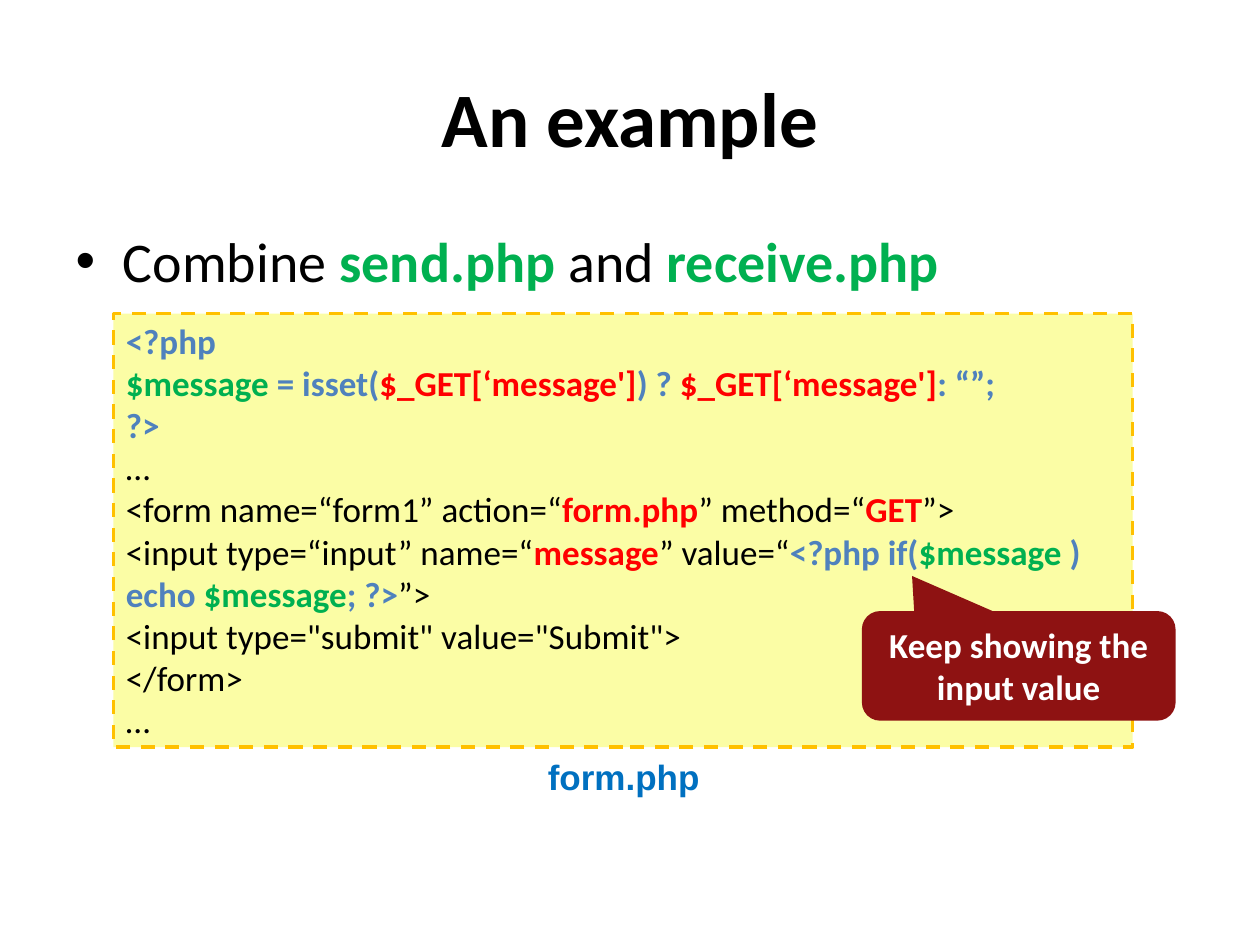
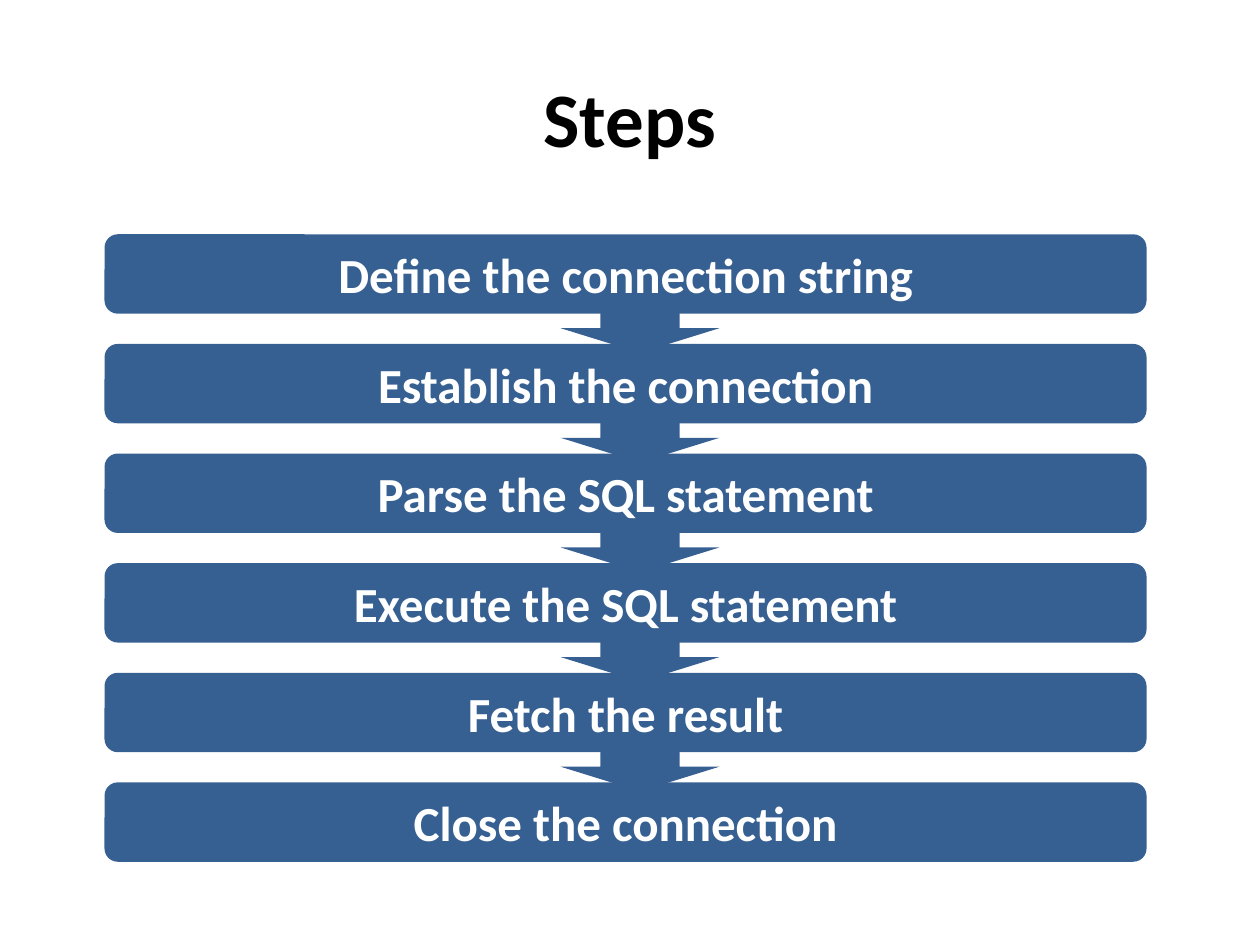
"""Build two slides: a PHP form example and the steps of a database query."""
import pptx
import pptx.util
import pptx.dml.color
import pptx.enum.dml
import pptx.enum.shapes
import pptx.enum.text

Inches = pptx.util.Inches
Pt = pptx.util.Pt
RGBColor = pptx.dml.color.RGBColor
MSO_SHAPE = pptx.enum.shapes.MSO_SHAPE
PP_ALIGN = pptx.enum.text.PP_ALIGN
MSO_ANCHOR = pptx.enum.text.MSO_ANCHOR
MSO_AUTO_SIZE = pptx.enum.text.MSO_AUTO_SIZE

BLACK = RGBColor(0x00, 0x00, 0x00)
WHITE = RGBColor(0xFF, 0xFF, 0xFF)
GREEN = RGBColor(0x00, 0xB0, 0x50)
RED = RGBColor(0xFF, 0x00, 0x00)
BLUE = RGBColor(0x4F, 0x81, 0xBD)
LABEL_BLUE = RGBColor(0x00, 0x70, 0xC0)
STEP_BLUE = RGBColor(0x37, 0x60, 0x92)
YELLOW = RGBColor(0xFB, 0xFD, 0xA5)
ORANGE = RGBColor(0xFF, 0xC0, 0x00)
DARK_RED = RGBColor(0x8E, 0x12, 0x12)

TITLE_AND_CONTENT, TITLE_ONLY = 1, 5


class Deck:
    """Holds the shared style and the current slide."""

    font = "Calibri"
    title_size = 44
    body_size = 32
    step_size = 28
    text_size = 20

    def __init__(self):
        """Start a 4:3 presentation."""
        self.prs = pptx.Presentation()
        self.prs.slide_width = Inches(10)
        self.prs.slide_height = Inches(7.5)
        self.s = None

    def style(self, r, size, color, bold=True, font=None):
        """Format one run."""
        r.font.name = font or self.font
        r.font.size = Pt(size)
        r.font.bold = bold
        r.font.color.rgb = color

    def place(self, sp, left, top, width, height):
        """Move and size a shape, in inches."""
        sp.left, sp.top = Inches(left), Inches(top)
        sp.width, sp.height = Inches(width), Inches(height)

    def rich_line(self, p, parts, size):
        """Fill a paragraph with coloured runs; only coloured ones are bold."""
        for text, color in parts:
            r = p.add_run()
            r.text = text
            self.style(r, size, color, bold=color != BLACK)

    def centered(self, sp, text, size, color, font=None):
        """Write one centred bold paragraph into a shape."""
        tf = sp.text_frame
        tf.word_wrap = True
        tf.text = text
        p = tf.paragraphs[0]
        p.alignment = PP_ALIGN.CENTER
        self.style(p.runs[0], size, color, font=font)

    def slide(self, layout, title):
        """Add a slide with its title."""
        self.s = self.prs.slides.add_slide(self.prs.slide_layouts[layout])
        sp = self.s.shapes.title
        self.place(sp, 0.5, 0.3, 9, 1.25)
        sp.text_frame.vertical_anchor = MSO_ANCHOR.MIDDLE
        self.centered(sp, title, self.title_size, BLACK)

    def bullet(self, parts):
        """Write a bulleted line into the body placeholder."""
        sp = self.s.placeholders[1]
        self.place(sp, 0.5, 1.75, 9, 4.95)
        p = sp.text_frame.paragraphs[0]
        p.space_before = Pt(8)
        self.rich_line(p, parts, self.body_size)

    def shape(self, kind, left, top, width, height, fill, shapes=None):
        """Add a flat filled preset shape without an outline."""
        shapes = shapes or self.s.shapes
        sp = shapes.add_shape(kind, Inches(left), Inches(top),
                              Inches(width), Inches(height))
        sp.shadow.inherit = False
        sp.fill.solid()
        sp.fill.fore_color.rgb = fill
        sp.line.fill.background()
        return sp

    def code_box(self, lines, left, top, width, height):
        """Add a dashed box of coloured code."""
        sp = self.shape(MSO_SHAPE.RECTANGLE, left, top, width, height, YELLOW)
        sp.line.color.rgb = ORANGE
        sp.line.width = Pt(2)
        sp.line.dash_style = pptx.enum.dml.MSO_LINE.DASH
        tf = sp.text_frame
        tf.word_wrap = True
        tf.auto_size = MSO_AUTO_SIZE.SHAPE_TO_FIT_TEXT
        tf.vertical_anchor = MSO_ANCHOR.TOP
        for i, parts in enumerate(lines):
            p = tf.add_paragraph() if i else tf.paragraphs[0]
            p.alignment = PP_ALIGN.LEFT
            self.rich_line(p, parts, self.text_size)

    def label(self, text, left, top, width, height):
        """Add a centred caption."""
        sp = self.s.shapes.add_textbox(Inches(left), Inches(top),
                                       Inches(width), Inches(height))
        self.centered(sp, text, self.text_size, LABEL_BLUE, "Arial")
        sp.text_frame.auto_size = MSO_AUTO_SIZE.SHAPE_TO_FIT_TEXT

    def callout(self, text, left, top, width, height, tip):
        """Add a rounded callout whose tip is relative to its centre."""
        sp = self.shape(MSO_SHAPE.ROUNDED_RECTANGULAR_CALLOUT,
                        left, top, width, height, DARK_RED)
        sp.adjustments[0], sp.adjustments[1] = tip
        self.centered(sp, text, self.text_size, WHITE)

    def steps(self, texts, left, top, width, height, pitch):
        """Add a column of bars joined by down arrows, in one group."""
        shapes = self.s.shapes.add_group_shape().shapes
        for i in range(len(texts) - 1):
            self.shape(MSO_SHAPE.DOWN_ARROW, 4.45, top + 0.55 + i * pitch,
                       1.26, 0.39, STEP_BLUE, shapes)
        for i, text in enumerate(texts):
            sp = self.shape(MSO_SHAPE.ROUNDED_RECTANGLE, left, top + i * pitch,
                            width, height, STEP_BLUE, shapes)
            self.centered(sp, text, self.step_size, WHITE)


CODE = [
    [("<?php", BLUE)],
    [("$message ", GREEN), ("= isset(", BLUE), ("$_GET[‘message']", RED),
     (") ? ", BLUE), ("$_GET[‘message']", RED), (": “”;", BLUE)],
    [("?>", BLUE)],
    [("…", BLACK)],
    [("<form name=“form1” action=“", BLACK), ("form.php", RED),
     ("” method=“", BLACK), ("GET", RED), ("”>", BLACK)],
    [("<input type=“input” name=“", BLACK), ("message", RED),
     ("” value=“", BLACK), ("<?php if(", BLUE), ("$message", GREEN),
     (" ) echo ", BLUE), ("$message", GREEN), ("; ?>", BLUE), ("”>", BLACK)],
    [('<input type="submit" value="Submit">', BLACK)],
    [("</form>", BLACK)],
    [("…", BLACK)],
]

STEPS = [
    "Define the connection string",
    "Establish the connection",
    "Parse the SQL statement",
    "Execute the SQL statement",
    "Fetch the result",
    "Close the connection",
]

deck = Deck()

deck.slide(TITLE_AND_CONTENT, "An example")
deck.bullet([("Combine ", BLACK), ("send.php", GREEN),
             (" and ", BLACK), ("receive.php", GREEN)])
deck.code_box(CODE, 0.9, 2.49, 8.09, 3.44)
deck.label("form.php", 2.94, 5.95, 4.02, 0.44)
deck.callout("Keep showing the input value", 6.84, 4.85, 2.49, 0.87,
             (-0.34, -0.82))

deck.slide(TITLE_ONLY, "Steps")
deck.steps(STEPS, 0.83, 1.86, 8.27, 0.63, pitch=0.87)

deck.prs.save("out.pptx")
